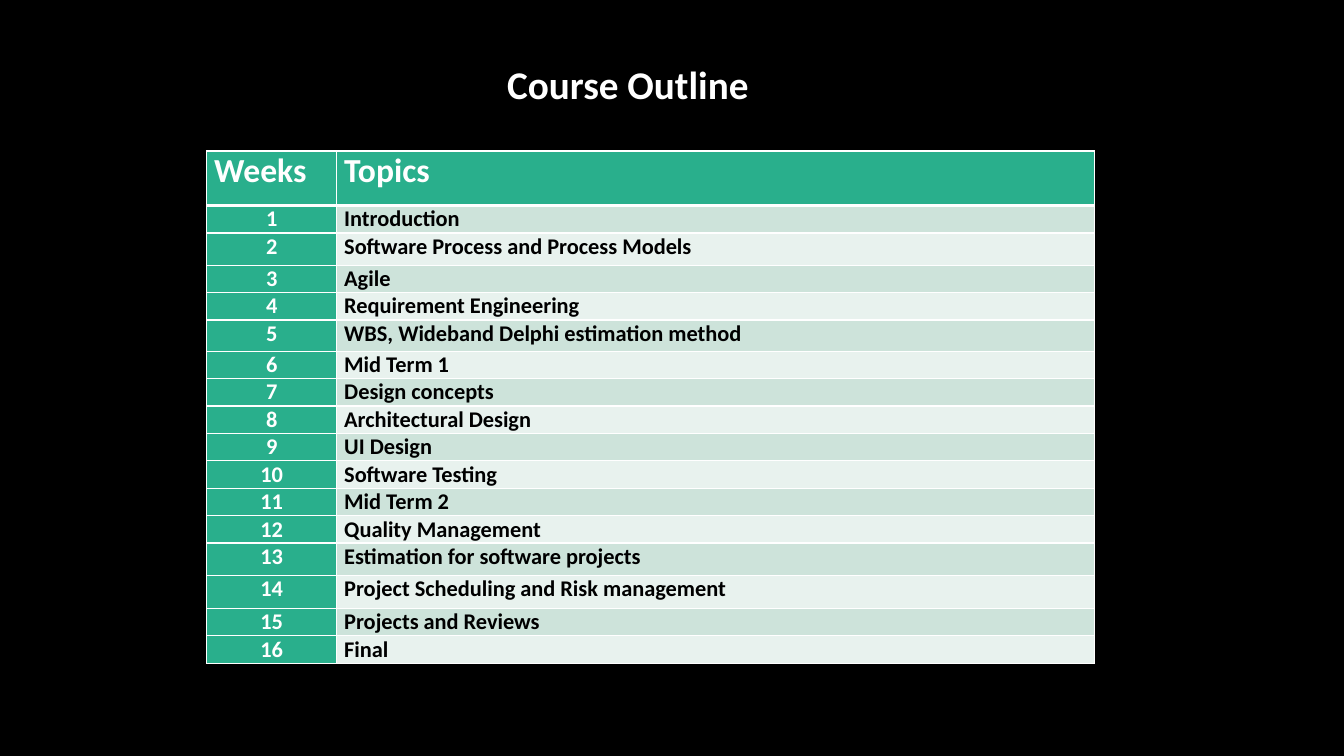
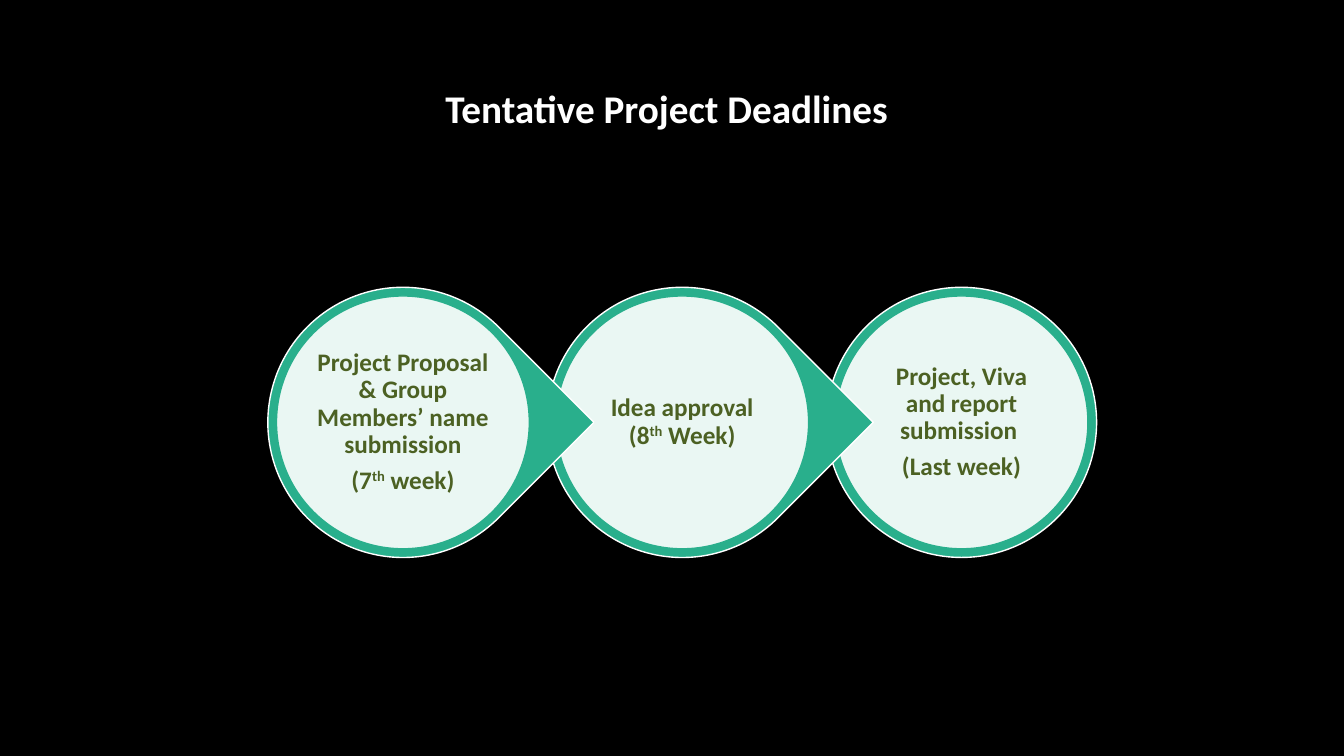
"""Course outline and project deadlines, two slides."""
from dataclasses import dataclass

from lxml import etree
from pptx import Presentation
from pptx.dml.color import RGBColor
from pptx.enum.shapes import MSO_SHAPE
from pptx.enum.text import MSO_ANCHOR, MSO_AUTO_SIZE, PP_ALIGN
from pptx.oxml.ns import qn
from pptx.util import Pt

LEFT, CENTER = PP_ALIGN.LEFT, PP_ALIGN.CENTER
TOP, MIDDLE = MSO_ANCHOR.TOP, MSO_ANCHOR.MIDDLE
NO_AUTOFIT = MSO_AUTO_SIZE.NONE
ELLIPSE, TEARDROP = MSO_SHAPE.OVAL, MSO_SHAPE.TEAR
TITLE_ONLY = 5

# Content
OUTLINE_TITLE = "Course Outline"
OUTLINE_HEADINGS = ("Weeks", "Topics")
TOPICS = [
    "Introduction",
    "Software Process and Process Models",
    "Agile",
    "Requirement Engineering",
    "WBS, Wideband Delphi estimation method",
    "Mid Term 1",
    "Design concepts",
    "Architectural Design",
    "UI Design",
    "Software Testing",
    "Mid Term 2",
    "Quality Management",
    "Estimation for software projects",
    "Project Scheduling and Risk management",
    "Projects and Reviews",
    "Final",
]

DEADLINES_TITLE = "Tentative Project Deadlines"
# Each deadline is a list of paragraphs, each a list of (text, is superscript).
DEADLINES = [
    [[("Project Proposal & Group Members’ name submission", False)],
     [("(7", False), ("th", True), (" week)", False)]],
    [[("Idea approval (8", False), ("th", True), (" Week)", False)]],
    [[("Project, Viva and report submission ", False)],
     [("(Last week)", False)]],
]


@dataclass(frozen=True)
class Theme:
    """Colours and type sizes of both slides."""
    font: str = "Calibri"
    black: str = "000000"
    white: str = "FFFFFF"
    green: str = "29AF8C"
    bands: tuple = ("CDE3DA", "E8F2EE")
    olive: str = "4C6123"
    title_size: int = 28
    heading_size: int = 24
    deadline_size: int = 18
    row_size: int = 16


THEME = Theme()

# Layout, in points
SLIDE_SIZE = (960, 540)
TITLE_SIZE = (377.3, 41)
TABLE_AT = (147.6, 107.8)
COLUMN_WIDTHS = (92.9, 541.4)
HEADING_HEIGHT, ROW_HEIGHT = 39, 19.5
TALL_WEEKS = {2: 23, 5: 22.3, 13: 23, 14: 23.6}
CELL_MARGIN = 5.4
RING_LEFT, RING_TOP, RING_SIZE, RING_PITCH = 191.3, 205.2, 193, 199.5
DISC_INSET, LABEL_INSET, LABEL_MARGIN = 6.2, 32, 2.2


def rgb(color):
    """Turn a hex string into a colour."""
    return RGBColor.from_string(color)


def box(left, top, width, height):
    """Convert a rectangle in points to lengths."""
    return Pt(left), Pt(top), Pt(width), Pt(height)


def add_run(paragraph, text, size, color, superscript=False):
    """Add one bold run."""
    run = paragraph.add_run()
    run.text = text
    font = run.font
    font.name, font.size, font.bold = THEME.font, Pt(size), True
    font.color.rgb = rgb(color)
    if superscript:
        run._r.get_or_add_rPr().set("baseline", "30000")


def add_titled_slide(deck, title, left, top):
    """Add a slide and place its title."""
    slide = deck.slides.add_slide(deck.slide_layouts[TITLE_ONLY])
    heading = slide.shapes.title
    heading.left, heading.top, heading.width, heading.height = box(left, top, *TITLE_SIZE)
    frame = heading.text_frame
    frame.word_wrap, frame.auto_size = True, NO_AUTOFIT
    frame.vertical_anchor = TOP
    paragraph = frame.paragraphs[0]
    paragraph.alignment = LEFT
    add_run(paragraph, title, THEME.title_size, THEME.white)
    return slide


def set_borders(cell, top, bottom):
    """Draw white cell borders; top and bottom are widths in points."""
    properties = cell._tc.get_or_add_tcPr()
    widths = {"a:lnL": 1, "a:lnR": 1, "a:lnT": top, "a:lnB": bottom}
    for position, (side, width) in enumerate(widths.items()):
        line = etree.Element(qn(side), w=str(Pt(width)))
        fill = etree.SubElement(line, qn("a:solidFill"))
        etree.SubElement(fill, qn("a:srgbClr"), val=THEME.white)
        properties.insert(position, line)


def fill_cell(cell, text, size, color, fill, alignment=LEFT, top=1, bottom=1):
    """Write and format one table cell."""
    cell.margin_left = cell.margin_right = Pt(CELL_MARGIN)
    cell.margin_top = cell.margin_bottom = Pt(0)
    cell.fill.solid()
    cell.fill.fore_color.rgb = rgb(fill)
    set_borders(cell, top, bottom)
    paragraph = cell.text_frame.paragraphs[0]
    paragraph.alignment = alignment
    add_run(paragraph, text, size, color)


def add_outline(slide):
    """Add the table of weeks and topics."""
    heights = [HEADING_HEIGHT] + [TALL_WEEKS.get(week, ROW_HEIGHT)
                                  for week in range(1, len(TOPICS) + 1)]
    outline = slide.shapes.add_table(
        len(heights), len(COLUMN_WIDTHS),
        *box(*TABLE_AT, sum(COLUMN_WIDTHS), sum(heights))).table
    for column, width in zip(outline.columns, COLUMN_WIDTHS):
        column.width = Pt(width)
    for row, height in zip(outline.rows, heights):
        row.height = Pt(height)
    for column, heading in enumerate(OUTLINE_HEADINGS):
        fill_cell(outline.cell(0, column), heading, THEME.heading_size,
                  THEME.white, THEME.green, bottom=3)
    for week, topic in enumerate(TOPICS, start=1):
        top = 3 if week == 1 else 1
        fill_cell(outline.cell(week, 0), str(week), THEME.row_size,
                  THEME.white, THEME.green, CENTER, top)
        fill_cell(outline.cell(week, 1), topic, THEME.row_size,
                  THEME.black, THEME.bands[(week - 1) % 2], top=top)


def add_round(slide, kind, left, inset, fill, line):
    """Add a filled round shape, inset within the ring at left."""
    size = RING_SIZE - 2 * inset
    shape = slide.shapes.add_shape(kind, *box(left + inset, RING_TOP + inset, size, size))
    shape.shadow.inherit = False
    shape.fill.solid()
    shape.fill.fore_color.rgb = rgb(fill)
    shape.line.color.rgb = rgb(line)
    shape.line.width = Pt(1)
    return shape


def add_deadline(slide, left, paragraphs, is_last):
    """Add a ring, its pale disc and the label; all but the last ring point right."""
    ring = add_round(slide, ELLIPSE if is_last else TEARDROP, left, 0,
                     THEME.green, THEME.white)
    ring.rotation = 0 if is_last else 45
    disc = add_round(slide, ELLIPSE, left, DISC_INSET, THEME.white, THEME.green)
    disc_color = disc._element.spPr.find(qn("a:solidFill"))[0]
    etree.SubElement(disc_color, qn("a:alpha"), val="90000")

    size = RING_SIZE - 2 * LABEL_INSET
    label = slide.shapes.add_textbox(
        *box(left + LABEL_INSET, RING_TOP + LABEL_INSET, size, size)).text_frame
    label.word_wrap, label.vertical_anchor = True, MIDDLE
    label.margin_left = label.margin_right = Pt(LABEL_MARGIN)
    label.margin_top = label.margin_bottom = Pt(LABEL_MARGIN)
    for index, pieces in enumerate(paragraphs):
        paragraph = label.add_paragraph() if index else label.paragraphs[0]
        paragraph.alignment, paragraph.line_spacing = CENTER, 0.9
        paragraph.space_after = Pt(6.3)
        for text, superscript in pieces:
            add_run(paragraph, text, THEME.deadline_size, THEME.olive, superscript)


def add_deadlines(slide):
    """Add the chain from right to left, so that each tip covers the next ring."""
    last = len(DEADLINES) - 1
    for step in range(last, -1, -1):
        add_deadline(slide, RING_LEFT + step * RING_PITCH, DEADLINES[step], step == last)


def main():
    """Build and save the deck."""
    deck = Presentation()
    deck.slide_width, deck.slide_height = map(Pt, SLIDE_SIZE)
    backdrop = deck.slide_master.background.fill
    backdrop.solid()
    backdrop.fore_color.rgb = rgb(THEME.black)
    add_outline(add_titled_slide(deck, OUTLINE_TITLE, 355, 39.6))
    add_deadlines(add_titled_slide(deck, DEADLINES_TITLE, 311, 56.9))
    deck.save("out.pptx")


main()
